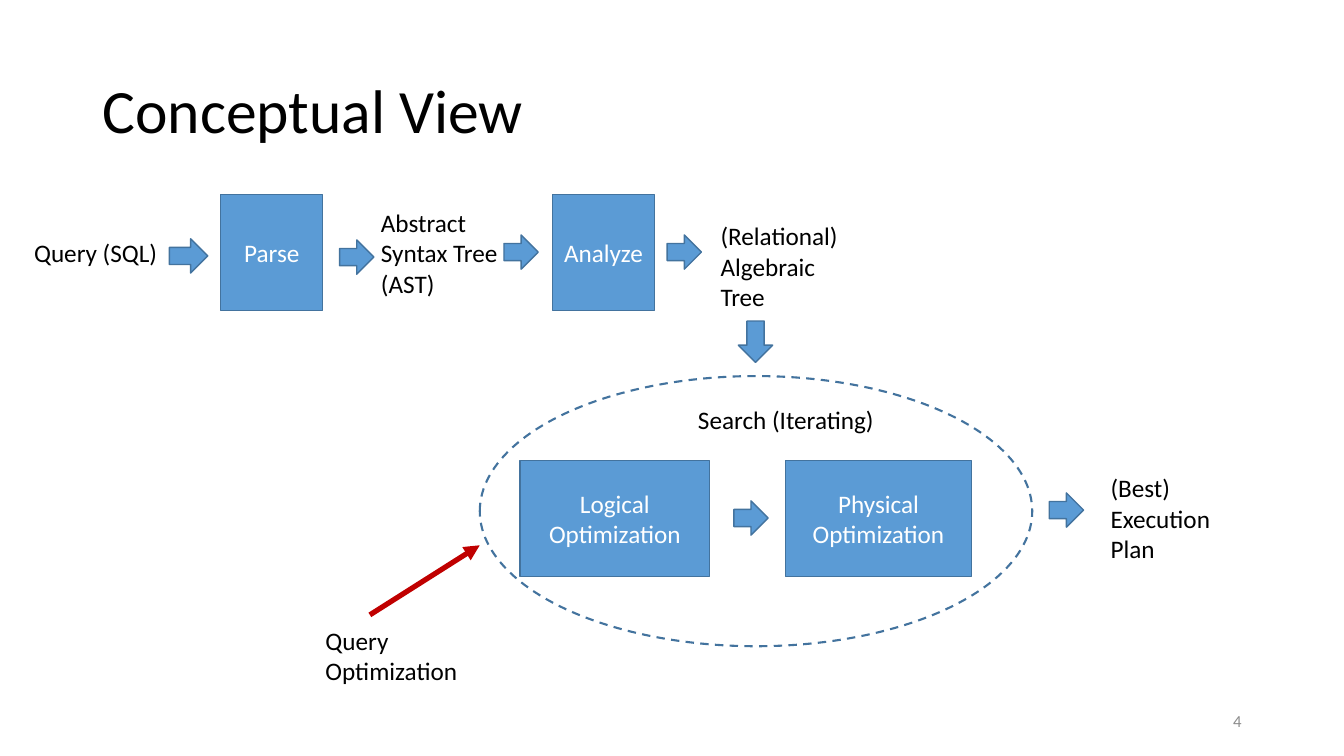
from dataclasses import dataclass

from lxml import etree
from pptx import Presentation
from pptx.dml.color import RGBColor
from pptx.enum.dml import MSO_LINE
from pptx.enum.shapes import MSO_CONNECTOR, MSO_SHAPE
from pptx.enum.text import MSO_ANCHOR, MSO_AUTO_SIZE, PP_ALIGN
from pptx.oxml.ns import qn
from pptx.util import Pt

RECTANGLE, OVAL, ARROW = MSO_SHAPE.RECTANGLE, MSO_SHAPE.OVAL, MSO_SHAPE.RIGHT_ARROW
STRAIGHT, DASH = MSO_CONNECTOR.STRAIGHT, MSO_LINE.DASH
LEFT, CENTER, RIGHT = PP_ALIGN.LEFT, PP_ALIGN.CENTER, PP_ALIGN.RIGHT
TOP, MIDDLE = MSO_ANCHOR.TOP, MSO_ANCHOR.MIDDLE
FIT_SHAPE, NO_FIT = MSO_AUTO_SIZE.SHAPE_TO_FIT_TEXT, MSO_AUTO_SIZE.NONE
TITLE_ONLY = 5


@dataclass(frozen=True)
class Theme:
    font: str = "Calibri"
    title_size: int = 44
    body_size: int = 18
    number_size: int = 12
    ink: RGBColor = RGBColor.from_string("000000")
    light: RGBColor = RGBColor.from_string("FFFFFF")
    muted: RGBColor = RGBColor.from_string("8C8C8C")
    fill: RGBColor = RGBColor.from_string("5B9BD5")
    outline: RGBColor = RGBColor.from_string("43739E")
    accent: RGBColor = RGBColor.from_string("C00000")


class Diagram:
    def __init__(self, slide, theme):
        self.slide, self.theme = slide, theme

    def set_text(self, frame, text, size, color, align=LEFT, anchor=TOP):
        frame.text = text
        frame.word_wrap = True
        frame.vertical_anchor = anchor
        for paragraph in frame.paragraphs:
            paragraph.alignment = align
            for run in paragraph.runs:
                run.font.name = self.theme.font
                run.font.size = Pt(size)
                run.font.color.rgb = color

    def title(self, text, *box):
        heading = self.slide.shapes.title
        heading.left, heading.top, heading.width, heading.height = map(Pt, box)
        frame = heading.text_frame
        self.set_text(frame, text, self.theme.title_size, self.theme.ink, anchor=MIDDLE)
        frame.auto_size = NO_FIT
        frame.paragraphs[0].line_spacing = 0.9

    def page_number(self, text, *box):
        number = self.slide.shapes.add_textbox(*map(Pt, box))
        self.set_text(number.text_frame, text, self.theme.number_size,
                      self.theme.muted, RIGHT, MIDDLE)

    def label(self, text, *box, wrap=True):
        caption = self.slide.shapes.add_textbox(*map(Pt, box))
        self.set_text(caption.text_frame, text, self.theme.body_size, self.theme.ink)
        caption.text_frame.word_wrap = wrap
        caption.text_frame.auto_size = FIT_SHAPE

    def shape(self, kind, *box, line_width=1):
        figure = self.slide.shapes.add_shape(kind, *map(Pt, box))
        figure.shadow.inherit = False
        figure.fill.solid()
        figure.fill.fore_color.rgb = self.theme.fill
        figure.line.color.rgb = self.theme.outline
        figure.line.width = Pt(line_width)
        return figure

    def stage(self, text, left, top, width):
        step = self.shape(RECTANGLE, left, top, width, 82.8)
        self.set_text(step.text_frame, text, self.theme.body_size,
                      self.theme.light, CENTER, MIDDLE)

    def flow(self, left, top, width=24.5, rotation=0):
        self.shape(ARROW, left, top, width, 24.5).rotation = rotation

    def boundary(self, *box):
        region = self.shape(OVAL, *box, line_width=1.5)
        region.fill.background()
        region.line.dash_style = DASH

    def pointer(self, *ends):
        arrow = self.slide.shapes.add_connector(STRAIGHT, *map(Pt, ends))
        arrow.line.color.rgb = self.theme.accent
        arrow.line.width = Pt(3.75)
        properties = arrow.element.spPr
        etree.SubElement(properties.find(qn("a:ln")), qn("a:tailEnd"), type="triangle")
        etree.SubElement(properties, qn("a:effectLst"))


def main():
    deck = Presentation()
    deck.slide_width, deck.slide_height = Pt(960), Pt(540)
    slide = deck.slides.add_slide(deck.slide_layouts[TITLE_ONLY])
    diagram = Diagram(slide, Theme())

    diagram.title("Conceptual View", 66, 28.8, 828, 104.4)
    diagram.page_number("4", 678, 500.5, 216, 28.8)
    diagram.boundary(342.7, 268.6, 394.6, 193)

    for text, left, top, width in (
        ("Parse", 157.7, 139, 72.9),
        ("Analyze", 394.6, 139, 72.9),
        ("Logical Optimization", 371.5, 329, 135.4),
        ("Physical Optimization", 560.9, 329, 133.2),
    ):
        diagram.stage(text, left, top, width)

    for left, top in ((242.6, 171.4), (360, 167.8), (476.6, 167.8),
                      (524.2, 357.8), (749.5, 352.1)):
        diagram.flow(left, top)
    diagram.flow(121, 170.6, width=27.4)
    diagram.flow(524.9, 231.8, width=29.5, rotation=90)

    diagram.label("Query (SQL)", 17.3, 166.3, 103.7, 29, wrap=False)
    diagram.label("Search (Iterating)", 491.5, 285.1, 144, 29, wrap=False)
    for text, left, top, width, height in (
        ("Abstract Syntax Tree (AST)", 265, 144.7, 105.1, 72.7),
        ("(Relational) Algebraic\nTree", 507.6, 154.1, 108.7, 72.7),
        ("(Best) Execution Plan", 786.2, 334.1, 105.8, 72.7),
        ("Query Optimization", 225.4, 442.8, 117.4, 51),
    ):
        diagram.label(text, left, top, width, height)
    diagram.pointer(264.2, 439.2, 342.7, 389.5)

    deck.save("out.pptx")


if __name__ == "__main__":
    main()
